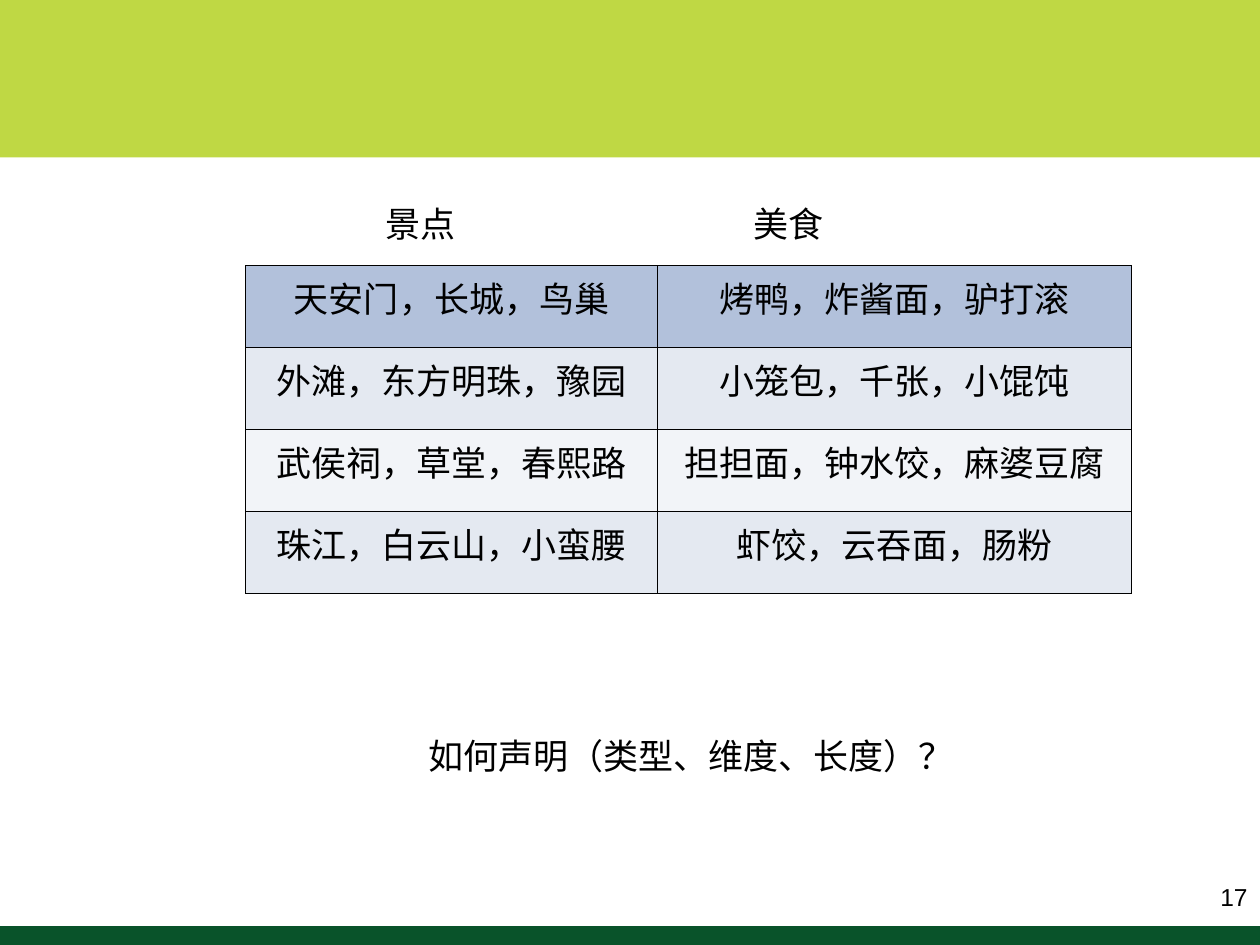
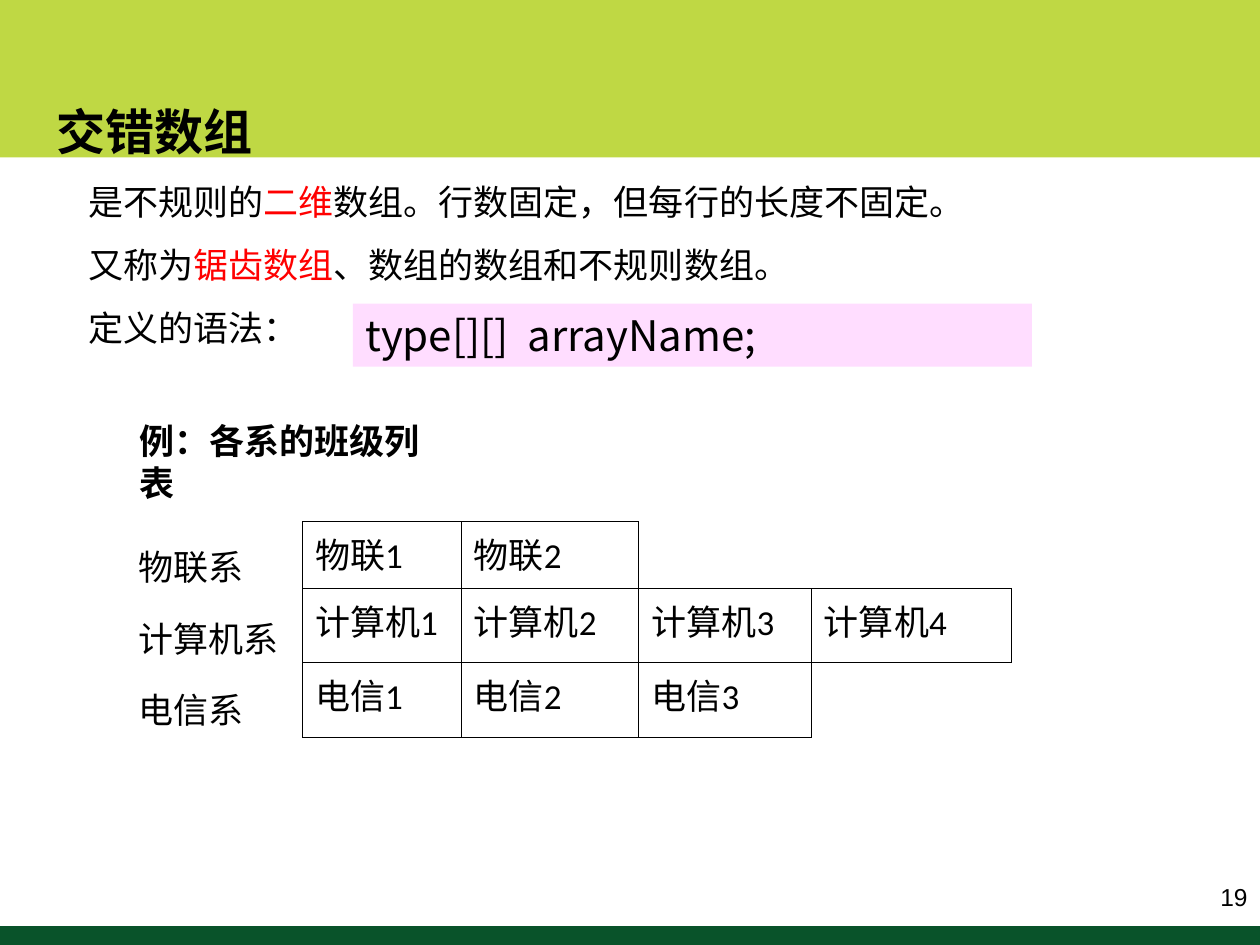
from lxml import etree
from pptx import Presentation
from pptx.dml.color import RGBColor
from pptx.enum.shapes import MSO_SHAPE
from pptx.enum.text import MSO_ANCHOR, PP_ALIGN
from pptx.oxml.ns import qn
from pptx.util import Inches, Pt

RECTANGLE = MSO_SHAPE.RECTANGLE
TOP, MIDDLE = MSO_ANCHOR.TOP, MSO_ANCHOR.MIDDLE
LEFT, CENTER, RIGHT = PP_ALIGN.LEFT, PP_ALIGN.CENTER, PP_ALIGN.RIGHT

BLACK = RGBColor(0x00, 0x00, 0x00)
RED = RGBColor(0xFF, 0x00, 0x00)
LIME = RGBColor(0xBF, 0xD8, 0x44)
DARK_GREEN = RGBColor(0x09, 0x53, 0x2A)
PINK = RGBColor(0xFF, 0xDD, 0xFF)
HEADER_BLUE = RGBColor(0xB2, 0xC1, 0xDB)
BAND_BLUE = RGBColor(0xE4, 0xE9, 0xF1)
BAND_PALE = RGBColor(0xF2, 0xF4, 0xF8)

CJK_FONT = "Noto Sans CJK SC"
BODY = {"name": "Arial", "size": Pt(20), "bold": False}
CELL = {**BODY, "name": "Calibri"}
CJK = {**BODY, "name": CJK_FONT}
TITLE = {**CJK, "size": Pt(28), "bold": True}
CODE = {**CJK, "size": Pt(24)}
NUMBER = {**BODY, "size": Pt(14)}
BORDER_WIDTH = Pt(0.45)


def add_span(para, text, style, color=BLACK):
    span = para.add_run()
    span.text = text
    for key, value in style.items():
        setattr(span.font, key, value)
    span.font.color.rgb = color
    east_asian = etree.SubElement(span.font._element, qn("a:ea"))
    east_asian.set("typeface", CJK_FONT)


def add_text(page, place, lines, style=BODY, wrap=True, anchor=TOP,
             align=LEFT, spacing=1.0):
    box = page.shapes.add_textbox(*map(Inches, place))
    frame = box.text_frame
    frame.word_wrap = wrap
    frame.vertical_anchor = anchor
    for index, line in enumerate(lines):
        para = frame.add_paragraph() if index else frame.paragraphs[0]
        para.alignment = align
        para.line_spacing = spacing
        add_span(para, line, style)
    return frame


def add_bar(page, place, color):
    bar = page.shapes.add_shape(RECTANGLE, *map(Inches, place))
    bar.shadow.inherit = False
    bar.fill.solid()
    bar.fill.fore_color.rgb = color
    bar.line.fill.background()
    return bar


def add_page(deck, number):
    page = deck.slides.add_slide(deck.slide_layouts[6])
    add_bar(page, (0, 0, 10, 1.25), LIME)
    add_bar(page, (0, 7.35, 10, 0.15), DARK_GREEN)
    add_text(page, (9.14, 6.88, 0.86, 0.48), [number], NUMBER,
             anchor=MIDDLE, align=RIGHT)
    return page


def set_borders(cell, sides):
    properties = cell._tc.get_or_add_tcPr()
    for side in "LRTB":
        line = etree.SubElement(properties, qn(f"a:ln{side}"), w=str(BORDER_WIDTH))
        if side in sides:
            fill = etree.SubElement(line, qn("a:solidFill"))
            etree.SubElement(fill, qn("a:srgbClr"), val=str(BLACK))
        else:
            etree.SubElement(line, qn("a:noFill"))


def add_grid(page, left, top, widths, heights, rows, fills, align, empty_borders):
    place = (left, top, sum(widths), sum(heights))
    table = page.shapes.add_table(len(rows), len(widths), *map(Inches, place)).table
    table.first_row = table.horz_banding = False
    for column, width in zip(table.columns, widths):
        column.width = Inches(width)
    for row, height in zip(table.rows, heights):
        row.height = Inches(height)
    for row_index, (texts, color) in enumerate(zip(rows, fills)):
        for column_index in range(len(widths)):
            cell = table.cell(row_index, column_index)
            if column_index < len(texts):
                set_borders(cell, "LRTB")
                para = cell.text_frame.paragraphs[0]
                para.alignment = align
                add_span(para, texts[column_index], CELL)
            else:
                set_borders(cell, empty_borders[row_index])
            if color is None:
                cell.fill.background()
            else:
                cell.fill.solid()
                cell.fill.fore_color.rgb = color
    return table


def add_city_page(deck):
    page = add_page(deck, "17")
    for left, heading in ((2.96, "景点"), (5.88, "美食")):
        add_text(page, (left, 1.56, 1.5, 0.44), [heading])
    cities = [
        ("天安门，长城，鸟巢", "烤鸭，炸酱面，驴打滚"),
        ("外滩，东方明珠，豫园", "小笼包，千张，小馄饨"),
        ("武侯祠，草堂，春熙路", "担担面，钟水饺，麻婆豆腐"),
        ("珠江，白云山，小蛮腰", "虾饺，云吞面，肠粉"),
    ]
    fills = [HEADER_BLUE, BAND_BLUE, BAND_PALE, BAND_BLUE]
    add_grid(page, 1.95, 2.11, [3.27, 3.76], [0.65] * len(cities), cities,
             fills, CENTER, {})
    add_text(page, (3.3, 5.78, 4.37, 0.44), ["如何声明（类型、维度、长度）？"], wrap=False)


def add_definition(page):
    frame = add_text(page, (0.35, 0.52, 9.22, 2.3), ["交错数组"], TITLE, spacing=1.5)
    lines = [
        [("是不规则的", BLACK), ("二维", RED),
         ("数组。行数固定，但每行的长度不固定。", BLACK)],
        [("又称为", BLACK), ("锯齿数组", RED),
         ("、数组的数组和不规则数组。", BLACK)],
        [("定义的语法：", BLACK)],
    ]
    for line in lines:
        para = frame.add_paragraph()
        para.line_spacing = 1.5
        para._p.get_or_add_pPr().set("marL", str(Inches(0.25)))
        for text, color in line:
            add_span(para, text, CJK, color)


def add_jagged_page(deck):
    page = add_page(deck, "19")
    add_definition(page)
    syntax = add_bar(page, (2.8, 2.41, 5.39, 0.5), PINK).text_frame
    syntax.word_wrap = True
    syntax.vertical_anchor = TOP
    syntax.paragraphs[0].alignment = LEFT
    add_span(syntax.paragraphs[0], "type[][]  arrayName;", CODE)
    add_text(page, (1.01, 3.28, 2.7, 0.44), ["例：各系的班级列表"],
             {**BODY, "bold": True}, wrap=False)
    add_text(page, (1, 4.05, 1.31, 1.8), ["物联系", "计算机系", "电信系"],
             wrap=False, spacing=1.7)
    classes = [
        [f"{name}{number}" for number in range(1, count + 1)]
        for name, count in (("物联", 2), ("计算机", 4), ("电信", 3))
    ]
    table = add_grid(page, 2.4, 4.14, [1.26, 1.41, 1.37, 1.59], [0.53, 0.59, 0.59],
                     classes, [None] * len(classes), LEFT, {0: "LB", 2: "LT"})
    table.cell(0, 2).merge(table.cell(0, 3))


def main():
    deck = Presentation()
    deck.slide_width, deck.slide_height = Inches(10), Inches(7.5)
    add_city_page(deck)
    add_jagged_page(deck)
    deck.save("out.pptx")


if __name__ == "__main__":
    main()
